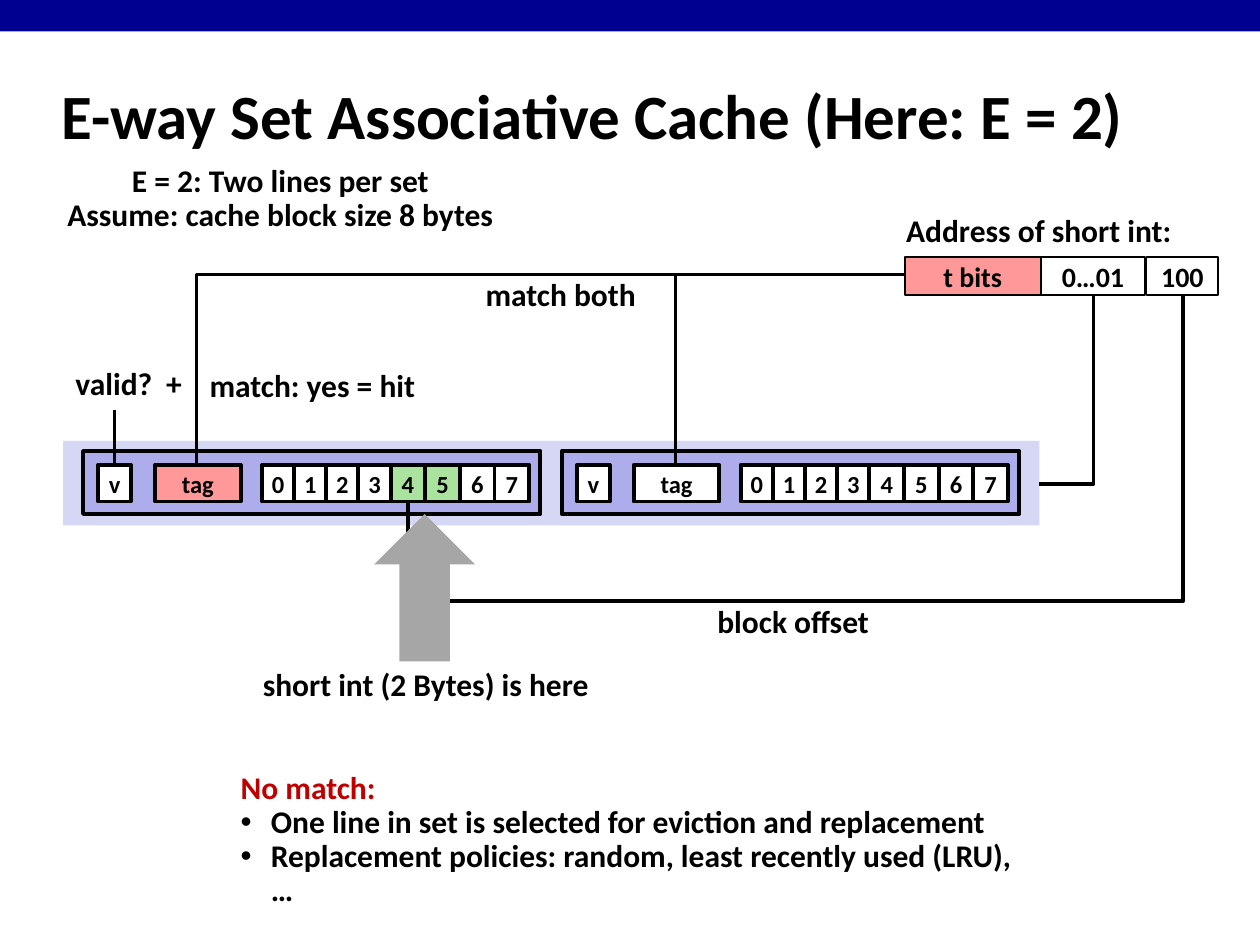
from dataclasses import dataclass

from lxml.etree import SubElement
from pptx import Presentation
from pptx.dml.color import RGBColor
from pptx.enum.shapes import MSO_CONNECTOR as Connector, MSO_SHAPE as Preset
from pptx.enum.text import MSO_ANCHOR as Anchor, MSO_AUTO_SIZE as AutoSize, PP_ALIGN as Align
from pptx.oxml.ns import qn
from pptx.util import Inches, Pt


@dataclass(frozen=True)
class Theme:
    font: str = "Calibri"
    ink: str = "000000"
    bar: str = "000090"
    white: str = "FFFFFF"
    tag: str = "FF9999"
    hit: str = "A9E39D"
    cache_set: str = "D6D6F5"
    cache_line: str = "ADADEB"
    arrow: str = "A6A6A6"
    alert: str = "C00000"
    title: int = 36
    label: int = 18
    address: int = 16
    cell: int = 14


@dataclass(frozen=True)
class Area:
    left: float
    top: float
    width: float
    height: float

    def lengths(self):
        return [Inches(n) for n in (self.left, self.top, self.width, self.height)]


@dataclass(frozen=True)
class Label:
    lines: tuple
    area: Area


@dataclass(frozen=True)
class Field:
    text: str
    left: float
    width: float
    fill: str


@dataclass(frozen=True)
class CacheLine:
    left: float
    tag_fill: str
    hits: tuple


THEME = Theme()


def color(value: str) -> RGBColor:
    return RGBColor.from_string(value)


def add_run(para, text: str, size: int, ink: str = THEME.ink) -> None:
    span = para.add_run()
    span.text = text
    font = span.font
    font.name, font.size, font.bold = THEME.font, Pt(size), True
    font.color.rgb = color(ink)


def place(shape, area: Area) -> None:
    shape.left, shape.top, shape.width, shape.height = area.lengths()


def add_box(slide, area: Area, fill: str, line: float = 0, text: str = "",
            size: int = THEME.cell, preset=Preset.RECTANGLE):
    box = slide.shapes.add_shape(preset, *area.lengths())
    box.shadow.inherit = False
    box.fill.solid()
    box.fill.fore_color.rgb = color(fill)
    if line:
        box.line.color.rgb = color(THEME.ink)
        box.line.width = Pt(line)
    else:
        box.line.fill.background()
    if text:
        frame = box.text_frame
        frame.margin_left = frame.margin_right = 0
        frame.margin_top = frame.margin_bottom = 0
        frame.vertical_anchor = Anchor.MIDDLE
        para = frame.paragraphs[0]
        para.alignment = Align.CENTER
        add_run(para, text, size)
    return box


def add_label(slide, label: Label) -> None:
    frame = slide.shapes.add_textbox(*label.area.lengths()).text_frame
    frame.word_wrap = False
    frame.auto_size = AutoSize.SHAPE_TO_FIT_TEXT
    for number, line in enumerate(label.lines):
        para = frame.add_paragraph() if number else frame.paragraphs[0]
        if "\t" in line:
            tabs = SubElement(para._p.get_or_add_pPr(), qn("a:tabLst"))
            SubElement(tabs, qn("a:tab"), pos=str(Inches(0.72)), algn="l")
        para.alignment = Align.LEFT if "\t" in line else Align.CENTER
        para.line_spacing = 0.9
        add_run(para, line, THEME.label)


def add_wire(slide, start: tuple, end: tuple, bend: float | None = None, turn: int = 0) -> None:
    """Draw a straight wire, or an elbow that bends at a share of its width."""
    kind = Connector.STRAIGHT if bend is None else Connector.ELBOW
    wire = slide.shapes.add_connector(kind, *[Inches(n) for n in (*start, *end)])
    wire.line.color.rgb = color(THEME.ink)
    wire.line.width = Pt(2)
    properties = wire._element.spPr
    SubElement(properties, qn("a:effectLst"))
    if bend is not None:
        guides = properties.find(qn("a:prstGeom")).find(qn("a:avLst"))
        SubElement(guides, qn("a:gd"), name="adj1", fmla=f"val {round(bend * 100000)}")
    if turn:
        properties.find(qn("a:xfrm")).set("rot", str(turn * 60000))


def add_cache_line(slide, line: CacheLine) -> None:
    add_box(slide, Area(line.left, 3.58, 3.63, 0.5), THEME.cache_line, 2.25)
    fields = [Field("v", 0.12, 0.26, THEME.white), Field("tag", 0.57, 0.68, line.tag_fill)]
    left = 1.42
    for byte in range(8):
        pitch = 0.255 if byte < 4 else 0.275
        fields.append(Field(str(byte), left, pitch, THEME.hit if byte in line.hits else THEME.white))
        left += pitch
    for field in fields:
        area = Area(line.left + field.left, 3.69, field.width, 0.29)
        add_box(slide, area, field.fill, 2.25, field.text)


def fill_title(slide) -> None:
    title = slide.shapes.title
    place(title, Area(0.39, 0.49, 9.02, 0.83))
    title.text_frame.vertical_anchor = Anchor.MIDDLE
    para = title.text_frame.paragraphs[0]
    para.alignment = Align.LEFT
    add_run(para, "E-way Set Associative Cache (Here: E = 2)", THEME.title)


def fill_policies(slide) -> None:
    body = slide.placeholders[1]
    place(body, Area(1.81, 6.08, 6.43, 0.91))
    frame = body.text_frame
    frame.word_wrap = True
    frame.auto_size = AutoSize.SHAPE_TO_FIT_TEXT
    frame.vertical_anchor = Anchor.TOP
    lines = ("No match:",
             "One line in set is selected for eviction and replacement",
             "Replacement policies: random, least recently used (LRU), …")
    for number, line in enumerate(lines):
        para = frame.add_paragraph() if number else frame.paragraphs[0]
        properties = para._p.get_or_add_pPr()
        indent = Inches(0.24) if number else 0
        properties.set("marL", str(indent))
        properties.set("indent", str(-indent))
        if number:
            SubElement(properties, qn("a:buChar"), char="•")
        else:
            SubElement(properties, qn("a:buNone"))
        para.line_spacing = 0.9
        para.space_before = Pt(0)
        add_run(para, line, THEME.label, THEME.ink if number else THEME.alert)


LABELS = (
    Label(("E = 2: Two lines per set", "Assume: cache block size 8 bytes"), Area(0.43, 1.26, 3.59, 0.64)),
    Label(("Address of short int:",), Area(7.09, 1.66, 2.31, 0.37)),
    Label(("match both",), Area(3.75, 2.17, 1.4, 0.37)),
    Label(("valid?\t+",), Area(0.5, 2.87, 1.11, 0.37)),
    Label(("match: yes = hit",), Area(1.56, 2.89, 1.84, 0.37)),
    Label(("block offset",), Area(5.59, 4.76, 1.41, 0.37)),
    Label(("short int (2 Bytes) is here",), Area(1.98, 5.26, 2.8, 0.37)),
)
ADDRESS = (
    Field("t bits", 7.18, 1.08, THEME.tag),
    Field("0…01", 8.26, 0.83, THEME.white),
    Field("100", 9.1, 0.57, THEME.white),
)
CACHE_LINES = (CacheLine(0.66, THEME.tag, (4, 5)), CacheLine(4.46, THEME.white, ()))


def main() -> None:
    deck = Presentation()
    deck.slide_width, deck.slide_height = Inches(10), Inches(7.5)
    page = deck.slides.add_slide(deck.slide_layouts[1])

    # Header and list
    add_box(page, Area(0, 0, 10, 0.25), THEME.bar)
    fill_title(page)
    fill_policies(page)

    # Address fields and the selected set
    for field in ADDRESS:
        add_box(page, Area(field.left, 2.04, field.width, 0.3), field.fill, 1, field.text, THEME.address)
    add_box(page, Area(0.5, 3.5, 7.75, 0.67), THEME.cache_set)
    for line in CACHE_LINES:
        add_cache_line(page, line)

    # Wires: set index, both tags, valid bit, block offset
    add_wire(page, (8.25, 3.84), (8.68, 2.33), bend=1)
    for tag_center in (5.36, 1.56):
        add_wire(page, (7.18, 2.18), (tag_center, 3.69), bend=1)
    add_wire(page, (0.91, 3.25), (0.91, 3.69))
    add_wire(page, (5.49, 0.08), (7.14, 6.23), bend=1.48, turn=90)

    # Arrow to the data, then labels
    arrow = add_box(page, Area(2.97, 4.08, 0.8, 1.17), THEME.arrow, preset=Preset.UP_ARROW)
    arrow.adjustments[0] = arrow.adjustments[1] = 0.5
    for label in LABELS:
        add_label(page, label)
    deck.save("out.pptx")


if __name__ == "__main__":
    main()
